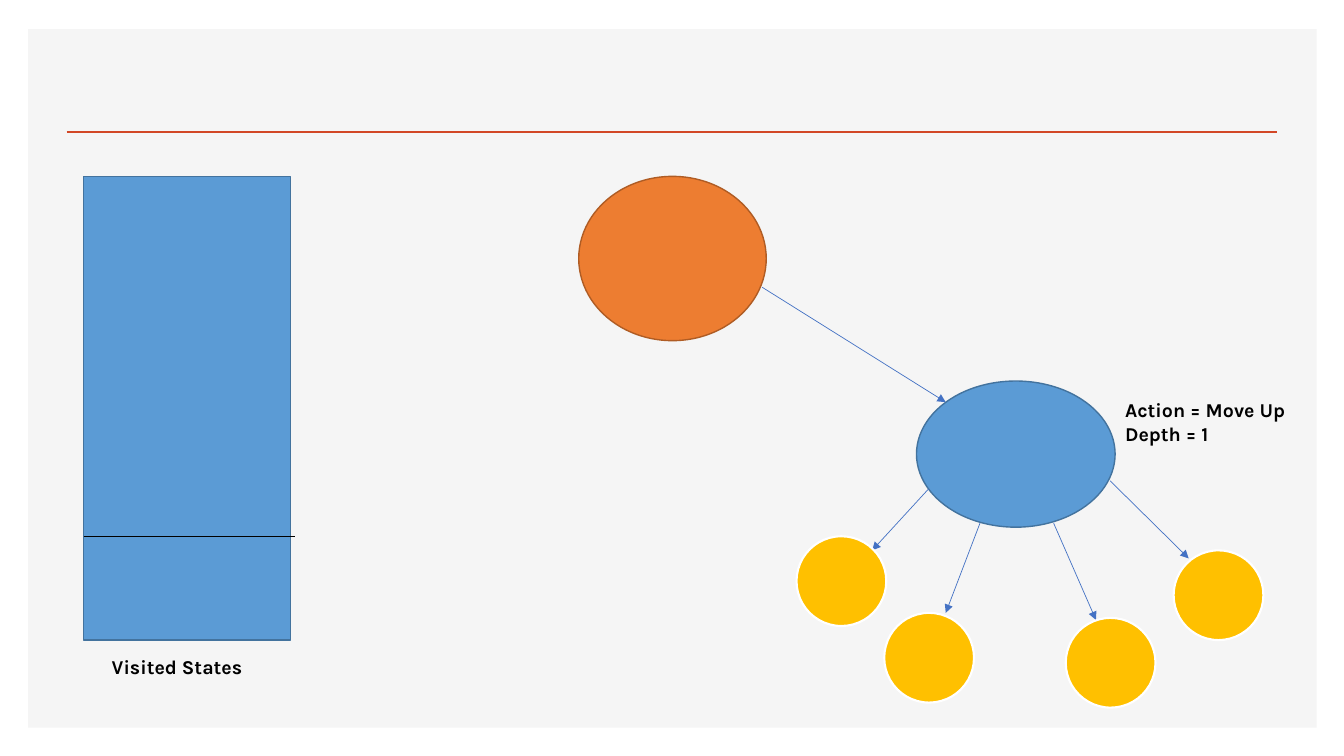
from pptx import Presentation
from pptx.dml.color import RGBColor
from pptx.enum.shapes import MSO_CONNECTOR as CONNECTOR, MSO_SHAPE as SHAPE
from pptx.oxml.ns import qn
from pptx.util import Pt
from lxml.etree import SubElement

PX = 9144  # 100 px to the inch

WHITE = RGBColor(0xFF, 0xFF, 0xFF)
BLACK = RGBColor(0x00, 0x00, 0x00)
PANEL = RGBColor(0xF5, 0xF5, 0xF5)
RED = RGBColor(0xD2, 0x47, 0x26)
ORANGE = RGBColor(0xED, 0x7D, 0x31)
BROWN = RGBColor(0xAF, 0x5C, 0x24)
BLUE = RGBColor(0x5B, 0x9B, 0xD5)
DARK_BLUE = RGBColor(0x43, 0x73, 0x9E)
ARROW_BLUE = RGBColor(0x44, 0x72, 0xC4)
GOLD = RGBColor(0xFF, 0xC0, 0x00)

deck = Presentation()
deck.slide_width, deck.slide_height = 1333 * PX, 750 * PX
page = deck.slides.add_slide(deck.slide_layouts[6])


def add_figure(kind, bounds, fill, outline=None, weight=1):
    figure = page.shapes.add_shape(kind, *[length * PX for length in bounds])
    figure.shadow.inherit = False
    figure.fill.solid()
    figure.fill.fore_color.rgb = fill
    if outline is None:
        figure.line.fill.background()
    else:
        figure.line.color.rgb = outline
        figure.line.width = Pt(weight)


def add_line(ends, color, weight, arrow=False):
    line = page.shapes.add_connector(
        CONNECTOR.STRAIGHT, *[length * PX for length in ends])
    line.line.color.rgb = color
    line.line.width = Pt(weight)
    if arrow:
        SubElement(line.line._get_or_add_ln(), qn("a:tailEnd"), type="triangle")
    SubElement(line._element.spPr, qn("a:effectLst"))


# Background panel and title rule
add_figure(SHAPE.RECTANGLE, (28, 29, 1278, 693), PANEL)
add_line((66, 131, 1267, 131), RED, 2)

# Root state and the state reached by the first move
add_figure(SHAPE.OVAL, (574, 175, 186, 163), ORANGE, BROWN)
add_line((756, 285, 938, 399), ARROW_BLUE, 0.5, arrow=True)
add_figure(SHAPE.OVAL, (909, 378, 197, 145), BLUE, DARK_BLUE)

# Child states: arrow ends, then left and top of the circle
children = [
    ((921, 485, 865, 546), (790, 532)),
    ((972, 519, 938, 608), (877, 608)),
    ((1045, 519, 1087, 615), (1057, 613)),
    ((1101, 477, 1179, 554), (1164, 546)),
]
for ends, corner in children:
    add_line(ends, ARROW_BLUE, 0.5, arrow=True)
    add_figure(SHAPE.OVAL, (*corner, 89, 89), GOLD, WHITE, 1.5)

# Visited states stack
add_figure(SHAPE.RECTANGLE, (83, 175, 205, 460), BLUE, DARK_BLUE)
add_line((83, 532, 293, 532), BLACK, 0.5)

# Labels
labels = [
    ((1106, 390, 188, 57), ["Action = Move Up", "Depth = 1"]),
    ((101, 645, 188, 34), ["Visited States"]),
]
for bounds, rows in labels:
    box = page.shapes.add_textbox(*[length * PX for length in bounds])
    frame = box.text_frame
    frame.word_wrap = True
    frame.text = "\n".join(rows)
    for para in frame.paragraphs:
        para.font.name = "Karla"
        para.font.size = Pt(14)
        para.font.bold = True
        para.font.color.rgb = BLACK

deck.save("out.pptx")
